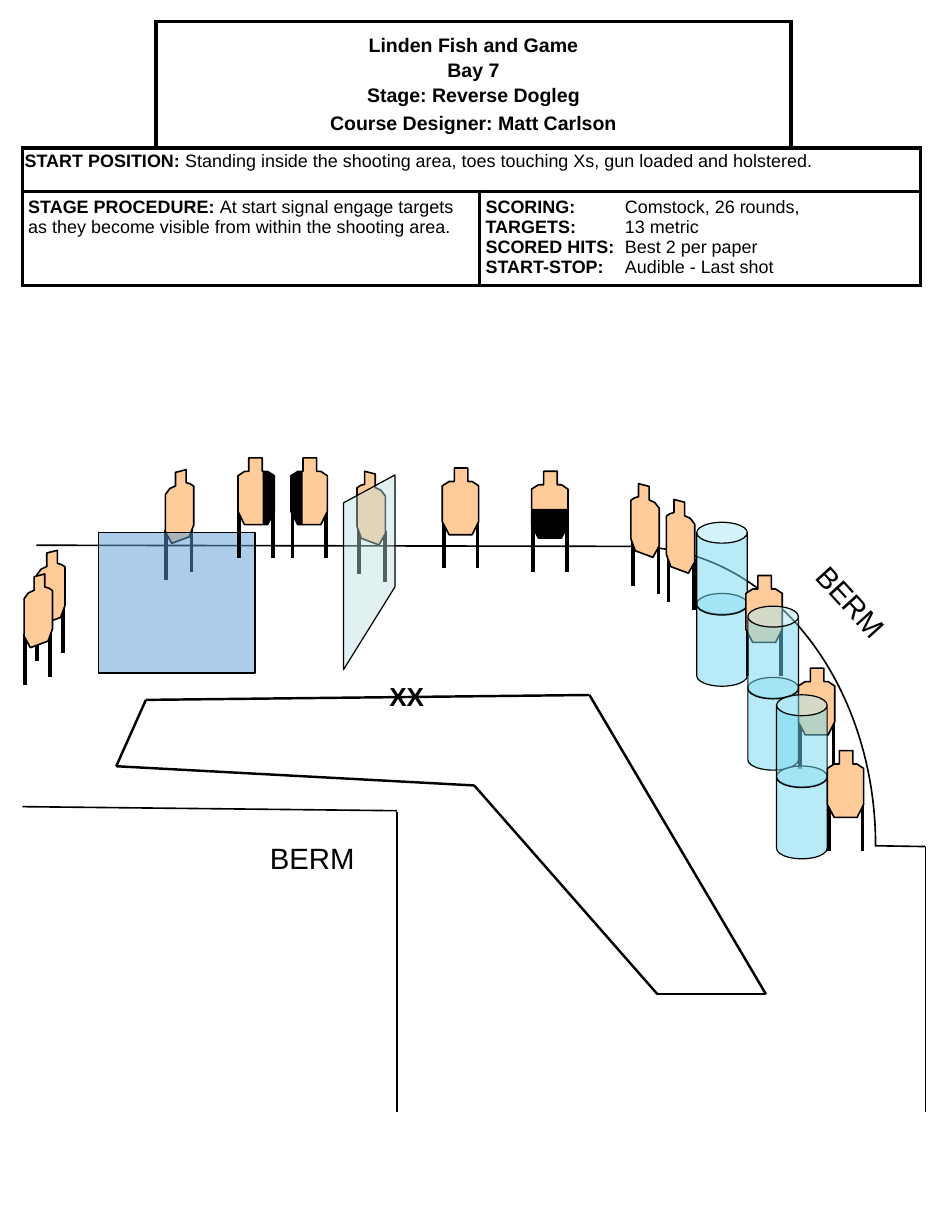
from lxml import etree
from pptx import Presentation
from pptx import util as u
from pptx.dml.color import RGBColor
from pptx.enum import shapes, text
from pptx.oxml.ns import qn

BLACK, WHITE, TAN = "000000", "FFFFFF", "FFCC99"
WATER, WALL, SCREEN = "73D9F1", "5B9BD5", "BBE0E3"

FRONT_WIDTH, ANGLED_WIDTH = 22.3, 17.4
FRONT = [(7.4, 0), (15.7, 0), (15.7, 8.3), (18.3, 8.3), (22.3, 11), (22.3, 33),
         (18.3, 41), (4.2, 41), (0, 33), (0, 11), (4.2, 8.3), (7.4, 8.3)]
ANGLED = [(11.2, 1.7), (4.7, 0), (4.7, 8), (2.2, 8.7), (0, 10.2), (0, 33.8),
          (2.7, 41.2), (13.5, 45.2), (17.4, 38.2), (17.4, 15.2), (14.7, 11.6), (11.2, 10)]
FRONT_LEGS = [(1, 30.4), (21.6, 30.4)]
ANGLED_LEGS = [(17, 36.8), (1.4, 31.8)]
LEG_LENGTH = 31.2
SIDE_COVER = [(7.2, 8.3), (7.2, 41), (4.2, 41), (0, 33), (0, 11), (4.2, 8.3)]
LOW_COVER = [(0, 23), (22.3, 23), (22.3, 33), (18.3, 41), (4.2, 41), (0, 33)]


def rgb(value):
    return RGBColor.from_string(value)


def style(shape, fill=None, line=0.75, opacity=100):
    shape.shadow.inherit = False
    if fill:
        shape.fill.solid()
        shape.fill.fore_color.rgb = rgb(fill)
        if opacity < 100:
            color = shape._element.spPr.find(".//" + qn("a:srgbClr"))
            etree.SubElement(color, qn("a:alpha"), val=str(opacity * 1000))
    else:
        shape.fill.background()
    if line:
        shape.line.color.rgb = rgb(BLACK)
        shape.line.width = u.Pt(line)
    else:
        shape.line.fill.background()


def add_line(slide, start, end, width=1):
    line = slide.shapes.add_connector(
        shapes.MSO_CONNECTOR.STRAIGHT, *(u.Pt(v) for v in (*start, *end)))
    line.line.color.rgb = rgb(BLACK)
    line.line.width = u.Pt(width)
    etree.SubElement(line._element.spPr, qn("a:effectLst"))


def add_outline(slide, points, **look):
    first, *rest = [(u.Pt(x), u.Pt(y)) for x, y in points]
    builder = slide.shapes.build_freeform(*first, scale=1.0)
    builder.add_line_segments(rest, close=True)
    style(builder.convert_to_shape(), **look)


def add_preset(slide, kind, box, adjustments, **look):
    shape = slide.shapes.add_shape(kind, *(u.Pt(v) for v in box))
    for index, value in enumerate(adjustments):
        shape.adjustments[index] = value
    style(shape, **look)


def placed(points, left, top, width, flip):
    return [(left + (width - x if flip else x), top + y) for x, y in points]


def add_target(slide, left, top, angled=False, flip=False, cover=None):
    """Target on two legs; flip mirrors it, cover blacks out a part."""
    body, legs, width = ((ANGLED, ANGLED_LEGS, ANGLED_WIDTH) if angled
                         else (FRONT, FRONT_LEGS, FRONT_WIDTH))
    for x, y in placed(legs, left, top, width, flip):
        add_line(slide, (x, y), (x, y + LEG_LENGTH), 2.25)
    add_outline(slide, placed(body, left, top, width, flip), fill=TAN, line=1)
    if cover:
        add_outline(slide, placed(cover, left, top, width, flip), fill=BLACK, line=0)


def add_barrel_stack(slide, left, top):
    for offset in (43.7, 0):
        add_preset(slide, shapes.MSO_SHAPE.CAN, (left, top + offset, 31, 56.9), [0.413],
                   fill=WATER, opacity=50)


def write(paragraph, content, size=11, bold=False):
    run = paragraph.add_run()
    run.text = content
    run.font.name = "Arial"
    run.font.size = u.Pt(size)
    run.font.bold = bold
    run.font.color.rgb = rgb(BLACK)


def add_label(slide, content, box, rotation=0, **font):
    label = slide.shapes.add_textbox(*(u.Pt(v) for v in box))
    label.rotation = rotation
    label.text_frame.word_wrap = True
    write(label.text_frame.paragraphs[0], content, **font)


def paragraphs(cell, count):
    frame = cell.text_frame
    for _ in range(count - 1):
        frame.add_paragraph()
    return frame.paragraphs


def format_cell(cell, sides, margins=(3.6, 3.6)):
    cell.margin_left = cell.margin_right = u.Pt(margins[0])
    cell.margin_top = cell.margin_bottom = u.Pt(margins[1])
    properties = cell._tc.get_or_add_tcPr()
    for side in sides:
        border = etree.SubElement(properties, qn("a:ln" + side), w=str(u.Pt(2.25)))
        fill = etree.SubElement(border, qn("a:solidFill"))
        etree.SubElement(fill, qn("a:srgbClr"), val=BLACK)
    cell.fill.solid()
    cell.fill.fore_color.rgb = rgb(WHITE)


def add_stage_table(slide):
    widths, heights = (82, 198.6, 191, 79.2), (77.8, 26.6, 57.6)
    frame = slide.shapes.add_table(3, 4, u.Pt(13.7), u.Pt(13), u.Pt(sum(widths)),
                                   u.Pt(sum(heights)))
    table = frame.table
    table.first_row = table.horz_banding = False
    for column, width in zip(table.columns, widths):
        column.width = u.Pt(width)
    for row, height in zip(table.rows, heights):
        row.height = u.Pt(height)
    for r in range(3):
        for c in range(4):
            sides = {(0, 0): "RB", (0, 3): "LB"}.get((r, c), "LRTB")
            format_cell(table.cell(r, c), sides, (1.4, 2.9) if r == 1 else (3.6, 3.6))
    for row, first, last in ((0, 1, 2), (1, 0, 3), (2, 0, 1), (2, 2, 3)):
        table.cell(row, first).merge(table.cell(row, last))

    title = table.cell(0, 1)
    title.vertical_anchor = text.MSO_ANCHOR.MIDDLE
    headings = (("Linden Fish and Game", 0), ("Bay 7", 2), ("Stage: Reverse Dogleg", 2),
                ("Course Designer: Matt Carlson", 4))
    for paragraph, (heading, gap) in zip(paragraphs(title, len(headings)), headings):
        paragraph.alignment = text.PP_ALIGN.CENTER
        paragraph.space_before = u.Pt(gap)
        write(paragraph, heading, size=12, bold=True)

    start = table.cell(1, 0).text_frame.paragraphs[0]
    start.line_spacing = 0.9
    write(start, "START POSITION: ", bold=True)
    write(start, "Standing inside the shooting area, toes touching Xs, "
                 "gun loaded and holstered.")
    procedure = table.cell(2, 0).text_frame.paragraphs[0]
    write(procedure, "STAGE PROCEDURE: ", bold=True)
    write(procedure, "At start signal engage targets as they become visible "
                     "from within the shooting area.")

    rules = (("SCORING:", "Comstock, 26 rounds,"), ("TARGETS:", "13 metric"),
             ("SCORED HITS:", "Best 2 per paper"), ("START-STOP:", "Audible - Last shot"))
    for paragraph, (rule, value) in zip(paragraphs(table.cell(2, 2), len(rules)), rules):
        tabs = etree.SubElement(paragraph._p.get_or_add_pPr(), qn("a:tabLst"))
        etree.SubElement(tabs, qn("a:tab"), pos=str(u.Pt(85.5)), algn="l")
        write(paragraph, rule + "\t", bold=True)
        write(paragraph, value)


def add_berms(slide):
    add_preset(slide, shapes.MSO_SHAPE.ARC, (242.6, 335.5, 294.5, 365.8), [162, 0.24], line=1)
    for start, end in (((243.4, 682.6), (243.4, 498)), ((243.4, 497.5), (13.7, 495)),
                       ((567.8, 682.6), (567.8, 519.5)), ((567.6, 519.5), (537.1, 519))):
        add_line(slide, start, end)
    add_label(slide, "BERM", (158.4, 512, 70.6, 28.8), size=18)
    add_label(slide, "BERM", (488.2, 356.4, 70.6, 28.8), rotation=47.7, size=18)


def add_shooting_area(slide):
    corners = [(71.3, 470.2), (89.5, 429.5), (361.6, 426.5), (469.8, 610),
               (403.2, 610), (290.9, 482)]
    for start, end in zip(corners, corners[1:] + corners[:1]):
        add_line(slide, start, end, 1.5)


def main():
    deck = Presentation()
    deck.slide_width, deck.slide_height = u.Pt(576), u.Pt(756)
    slide = deck.slides.add_slide(deck.slide_layouts[6])

    add_target(slide, 219, 289.2, angled=True)
    add_target(slide, 101.5, 288.2, angled=True, flip=True)
    add_line(slide, (390.2, 335.3), (22.3, 334.6))
    add_target(slide, 22.5, 337.7, angled=True, flip=True)
    add_stage_table(slide)
    add_berms(slide)

    add_barrel_stack(slide, 427.4, 320.5)
    add_target(slide, 457.5, 353.2)
    add_target(slide, 489.7, 410)
    add_barrel_stack(slide, 458.8, 372)
    add_barrel_stack(slide, 476.4, 426.4)
    add_target(slide, 507.5, 460.6)
    add_target(slide, 14.8, 352.2, angled=True, flip=True)

    add_shooting_area(slide)
    add_outline(slide, [(60.3, 327), (156.5, 327), (156.5, 413), (60.3, 413)],
                fill=WALL, opacity=50)
    add_label(slide, "XX", (231.8, 414, 46.8, 26.6), size=16, bold=True)

    add_target(slide, 271.3, 287.2)
    add_target(slide, 178.5, 281, cover=SIDE_COVER)
    add_target(slide, 146, 281, flip=True, cover=SIDE_COVER)
    add_outline(slide, [(242.4, 291.4), (242.4, 360), (210.7, 411), (210.7, 308.6)],
                fill=SCREEN, opacity=44)
    add_target(slide, 408.8, 306.5, angled=True)
    add_target(slide, 387, 296.8, angled=True)
    add_target(slide, 326.1, 289.2, cover=LOW_COVER)
    deck.save("out.pptx")


if __name__ == "__main__":
    main()
